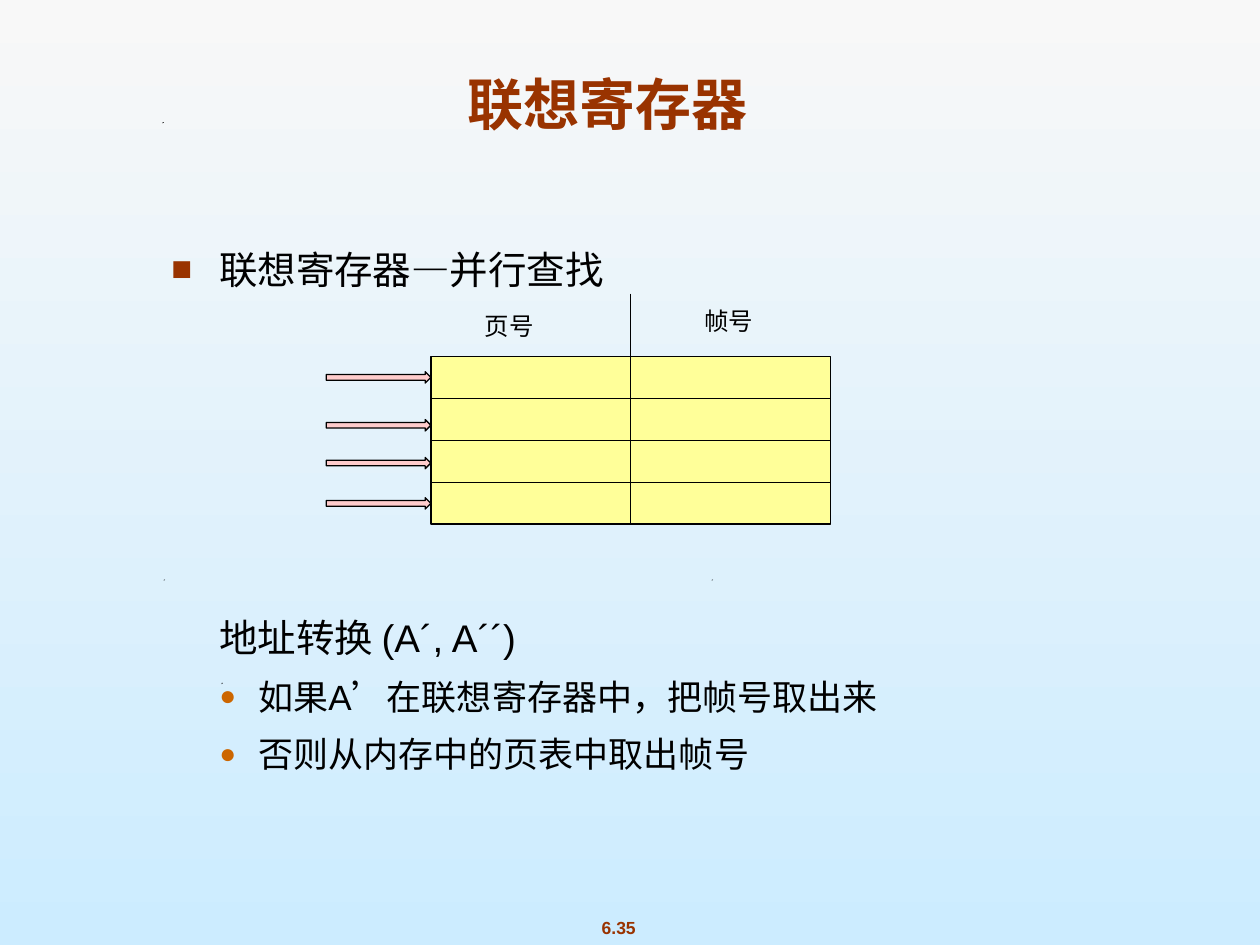
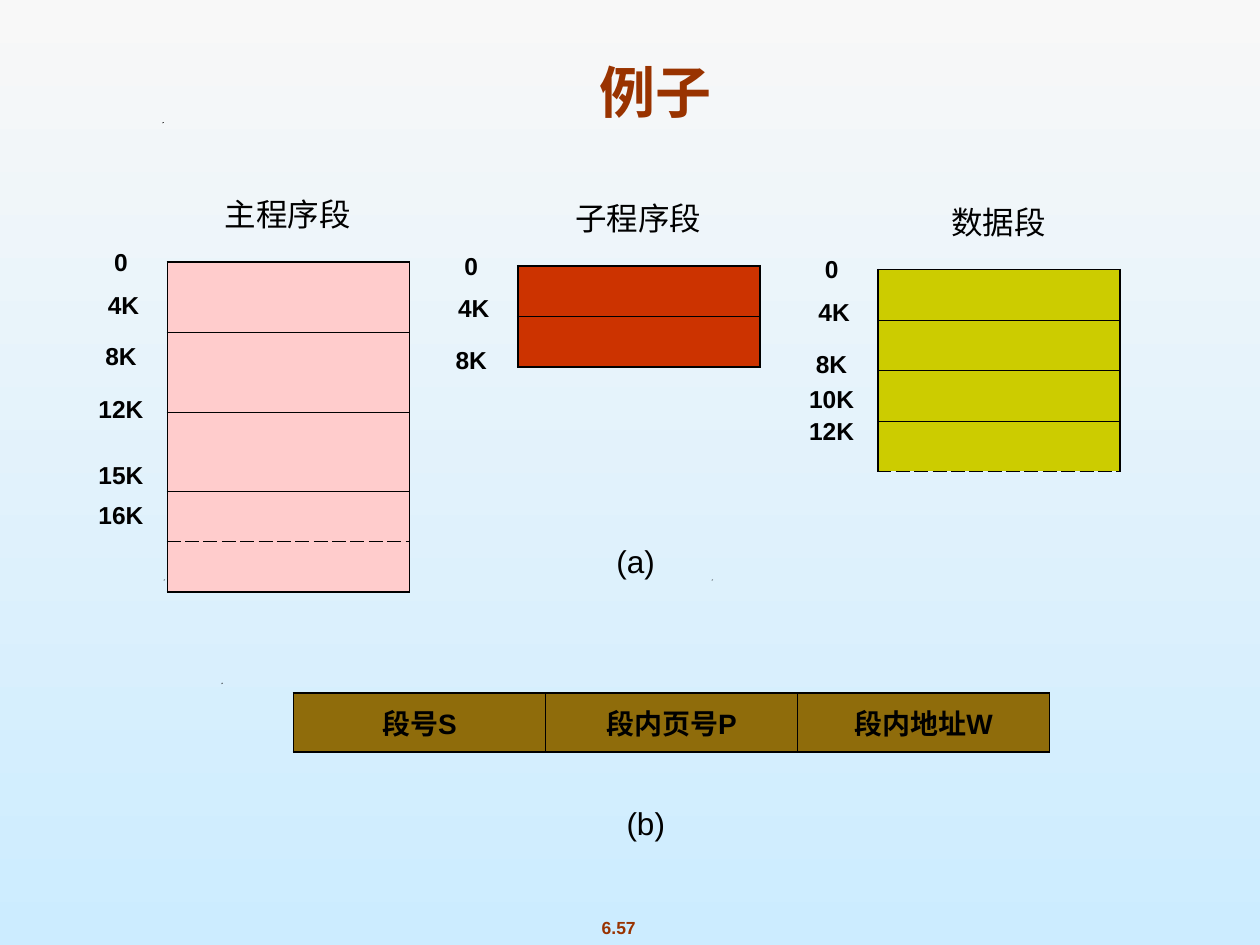
from lxml import etree
from pptx import Presentation
from pptx.dml.color import RGBColor
from pptx.enum.shapes import MSO_CONNECTOR, MSO_SHAPE
from pptx.enum.text import MSO_ANCHOR, MSO_AUTO_SIZE, PP_ALIGN
from pptx.oxml.ns import qn
from pptx.util import Inches, Pt

RECTANGLE, ARROW = MSO_SHAPE.RECTANGLE, MSO_SHAPE.RIGHT_ARROW
STRAIGHT = MSO_CONNECTOR.STRAIGHT
LEFT, CENTER = PP_ALIGN.LEFT, PP_ALIGN.CENTER
TOP, MIDDLE = MSO_ANCHOR.TOP, MSO_ANCHOR.MIDDLE
FIXED_SIZE = MSO_AUTO_SIZE.NONE

FONT = "Arial"
COLORS = {
    "sky_top": "F8F8F8", "sky_bottom": "CCECFF",
    "rust": "993300", "orange": "CC6600", "black": "000000",
    "register": "FFFF99", "pink": "FFCCCC",
    "subprogram": "CC3300", "data": "CCCC00", "address": "8F6C0B",
}
OUTER, INNER = 1.08, 0.45  # table border widths
SPECKS = [(1.76, 5.42), (1.3, 4.6), (5.65, 4.6), (1.29, 0.97)]


def rgb(color):
    return RGBColor.from_string(COLORS[color])


def style(paragraph, size, color="black", bold=False, align=LEFT):
    paragraph.alignment = align
    font = paragraph.font
    font.name, font.size, font.bold = FONT, Pt(size), bold
    font.color.rgb = rgb(color)


def add_text(slide, box, text, size, anchor=TOP, **look):
    frame = slide.shapes.add_textbox(*map(Inches, box)).text_frame
    frame.word_wrap = True
    frame.vertical_anchor = anchor
    frame.text = text
    style(frame.paragraphs[0], size, **look)


def place(placeholder, box):
    placeholder.left, placeholder.top, placeholder.width, placeholder.height = map(Inches, box)
    frame = placeholder.text_frame
    frame.auto_size = FIXED_SIZE
    frame.vertical_anchor = TOP
    return frame


# ---- Shared frame: background, title, page number, specks ----
def set_background(master):
    fill = master.background.fill
    fill.gradient()
    fill.gradient_angle = 270
    for stop, color in zip(fill.gradient_stops, ("sky_top", "sky_bottom")):
        stop.color.rgb = rgb(color)


def start_slide(prs, layout, title, title_box, page, title_inset=0.05):
    slide = prs.slides.add_slide(prs.slide_layouts.get_by_name(layout))
    for x, y in SPECKS:
        builder = slide.shapes.build_freeform(Inches(x), Inches(y + 0.01))
        builder.add_line_segments([(Inches(x + 0.01), Inches(y)),
                                   (Inches(x), Inches(y))])
        speck = builder.convert_to_shape()
        paint(speck, "black")
        speck.line.fill.background()
    frame = place(slide.shapes.title, title_box)
    frame.margin_top = Inches(title_inset)
    frame.text = title
    style(frame.paragraphs[0], 32, "rust", True, CENTER)
    add_text(slide, (4.42, 7.23, 0.98, 0.27), page, 10,
             color="rust", bold=True, align=CENTER)
    return slide


def paint(shape, color):
    shape.shadow.inherit = False
    shape.fill.solid()
    shape.fill.fore_color.rgb = rgb(color)
    shape.line.color.rgb = rgb("black")
    shape.line.width = Pt(0.75)


# ---- Bulleted list ----
def set_bullet(paragraph, margin, hang, char=None, color=None, percent=100):
    props = paragraph._p.get_or_add_pPr()
    props.set("marL", str(Inches(margin)))
    props.set("indent", str(-Inches(hang)))
    if char is None:
        etree.SubElement(props, qn("a:buNone"))
        return
    tint = etree.SubElement(props, qn("a:buClr"))
    etree.SubElement(tint, qn("a:srgbClr"), val=COLORS[color])
    etree.SubElement(props, qn("a:buSzPct"), val=str(percent * 1000))
    etree.SubElement(props, qn("a:buFont"), typeface=FONT)
    etree.SubElement(props, qn("a:buChar"), char=char)


def fill_list(placeholder, box):
    square = (0.38, 0.38, "■", "rust", 90)
    dot = (0.69, 0.31, "●", "orange", 80)
    # text, level, size, space before, bullet
    items = [
        ("联想寄存器—并行查找", 0, 22, 0, square),
        ("地址转换 (A´, A´´)", 0, 22, 184, (0.38, 0)),
        ("如果A’在联想寄存器中，把帧号取出来", 1, 20, 8.8, dot),
        ("否则从内存中的页表中取出帧号", 1, 20, 8.8, dot),
    ]
    frame = place(placeholder, box)
    frame.text = "\n".join(item[0] for item in items)
    for paragraph, (_, level, size, before, bullet) in zip(frame.paragraphs, items):
        paragraph.level = level
        set_bullet(paragraph, *bullet)
        paragraph.space_before = Pt(before)
        style(paragraph, size)


# ---- Associative registers diagram ----
def add_line(slide, start, end):
    line = slide.shapes.add_connector(STRAIGHT, *map(Inches, start + end))
    line.line.color.rgb = rgb("black")
    line.line.width = Pt(0.75)
    etree.SubElement(line._element.spPr, qn("a:effectLst"))
    return line


def add_registers(slide, box):
    left, top, width, height = box
    right, middle, row = left + width, left + width / 2, height / 4
    registers = slide.shapes.add_shape(RECTANGLE, *map(Inches, box))
    paint(registers, "register")
    divider = add_line(slide, (middle, top - 0.5), (middle, top + height))
    divider.end_connect(registers, 2)
    for index in (1, 2, 3):
        y = top + index * row
        rule = add_line(slide, (left, y), (right, y))
        if index == 2:
            rule.begin_connect(registers, 1)
            rule.end_connect(registers, 3)
    add_text(slide, (left + 0.33, top - 0.41, 0.68, 0.33), "页号", 14, MIDDLE)
    add_text(slide, (left + 2.07, top - 0.45, 0.68, 0.33), "帧号", 14, MIDDLE)
    for offset in (0.12, 0.5, 0.8, 1.12):
        lookup = slide.shapes.add_shape(
            ARROW, *map(Inches, (left - 0.83, top + offset, 0.83, 0.09)))
        paint(lookup, "pink")


# ---- Tables ----
def set_border(cell, side, width, dashed):
    border = etree.SubElement(cell._tc.get_or_add_tcPr(), qn(f"a:ln{side}"),
                              w=str(Pt(width)))
    solid = etree.SubElement(border, qn("a:solidFill"))
    etree.SubElement(solid, qn("a:srgbClr"), val=COLORS["black"])
    etree.SubElement(border, qn("a:prstDash"), val="dash" if dashed else "solid")


def add_grid(slide, left, top, columns, rows, color, dashed_edge=None):
    """Add a filled table; dashed_edge numbers a row edge from 0 at the top."""
    table = slide.shapes.add_table(
        len(rows), len(columns),
        *map(Inches, (left, top, sum(columns), sum(rows)))).table
    table.first_row = table.horz_banding = False
    for column, width in zip(table.columns, columns):
        column.width = Inches(width)
    for r, height in enumerate(rows):
        table.rows[r].height = Inches(height)
        for c in range(len(columns)):
            cell = table.cell(r, c)
            edges = (("L", c, len(columns), False), ("R", c + 1, len(columns), False),
                     ("T", r, len(rows), r == dashed_edge),
                     ("B", r + 1, len(rows), r + 1 == dashed_edge))
            for side, edge, last, dashed in edges:
                is_outer = edge in (0, last) and not dashed
                set_border(cell, side, OUTER if is_outer else INNER, dashed)
            cell.fill.solid()
            cell.fill.fore_color.rgb = rgb(color)
    return table


def add_segment(slide, left, top, heading, rows, color, marks, dashed_edge=None):
    add_grid(slide, left, top, [1.92], rows, color, dashed_edge)
    add_text(slide, (left + 0.33, top - 0.58, 1.25, 0.4), heading, 18, align=CENTER)
    for mark, offset in marks.items():
        shift = 0.02 if mark == "4K" else 0
        add_text(slide, (left - 0.66 + shift, top + offset, 0.58, 0.33), mark, 14,
                 bold=True, align=CENTER)


def add_address_format(slide, left, top):
    fields = ("段号S", "段内页号P", "段内地址W")
    table = add_grid(slide, left, top, [2] * len(fields), [0.47], "address")
    for cell, field in zip(table.rows[0].cells, fields):
        cell.text = field
        cell.vertical_anchor = MIDDLE
        style(cell.text_frame.paragraphs[0], 16, bold=True, align=CENTER)


# ---- Slides ----
def build_register_slide(prs):
    slide = start_slide(prs, "Title and Content", "联想寄存器",
                        (0.9, 0.5, 7.84, 0.85), "6.35")
    fill_list(slide.placeholders[1], (1.26, 1.9, 7.77, 4.72))
    add_registers(slide, (3.42, 2.83, 3.17, 1.33))


def build_example_slide(prs):
    slide = start_slide(prs, "Title Only", "例子",
                        (0.79, 0.37, 8.83, 0.67), "6.57", title_inset=0.09)
    start_marks = {"0": -0.17, "4K": 0.17, "8K": 0.58}
    add_segment(slide, 1.33, 2.08, "主程序段", [0.56, 0.63, 0.63, 0.37, 0.22], "pink",
                {**start_marks, "12K": 1, "15K": 1.52, "16K": 1.84}, dashed_edge=4)
    add_segment(slide, 4.11, 2.11, "子程序段", [0.37] * 2, "subprogram", start_marks)
    add_segment(slide, 6.97, 2.14, "数据段", [0.37, 0.37, 0.22, 0.22], "data",
                {**start_marks, "10K": 0.86, "12K": 1.11}, dashed_edge=4)
    add_address_format(slide, 2.33, 5.5)
    add_text(slide, (4.42, 4.25, 1.25, 0.4), "(a)", 18, align=CENTER)
    add_text(slide, (4.5, 6.33, 1.25, 0.4), "(b)", 18, align=CENTER)


def main():
    prs = Presentation()
    prs.slide_width, prs.slide_height = Inches(10), Inches(7.5)
    set_background(prs.slide_master)
    build_register_slide(prs)
    build_example_slide(prs)
    prs.save("out.pptx")


if __name__ == "__main__":
    main()
